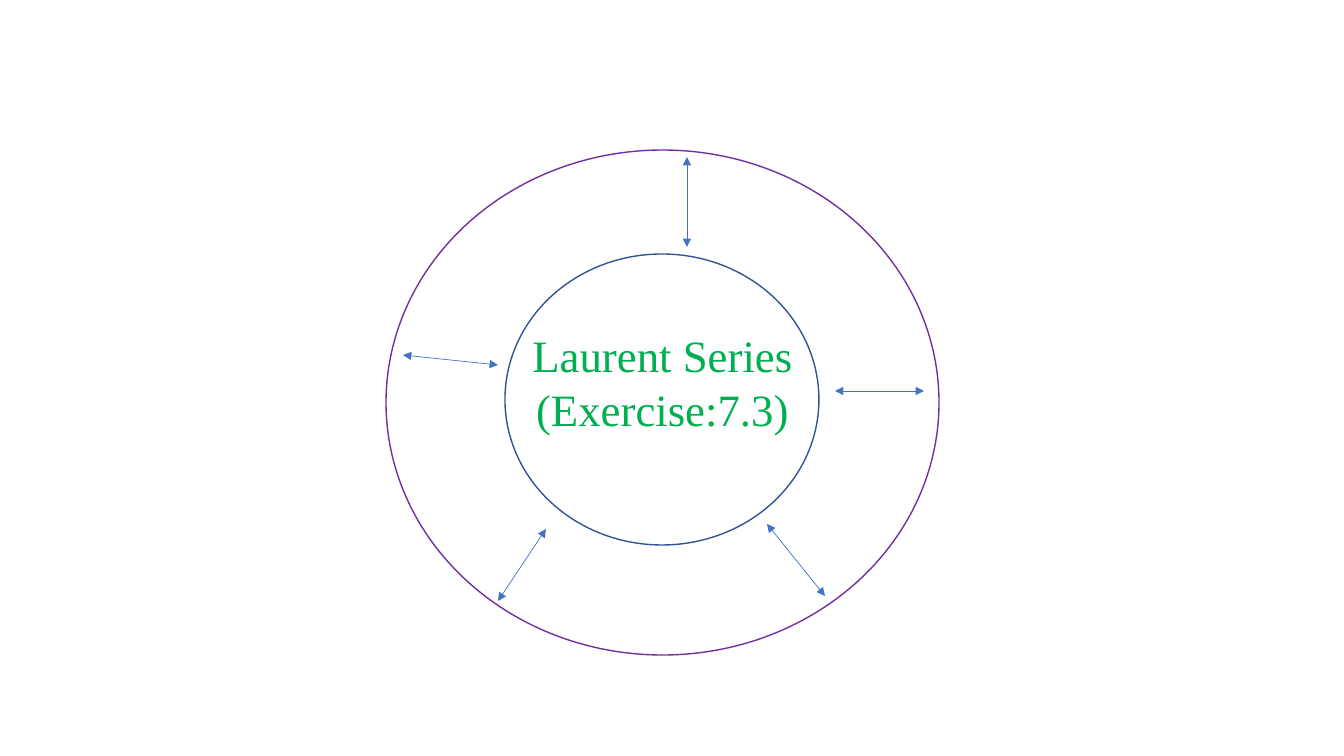
import pptx
import pptx.util
from dataclasses import dataclass
from lxml import etree
from pptx.dml.color import RGBColor
from pptx.enum.shapes import MSO_CONNECTOR, MSO_SHAPE
from pptx.enum.text import MSO_ANCHOR, MSO_AUTO_SIZE, PP_ALIGN
from pptx.oxml.ns import qn


@dataclass(frozen=True)
class Theme:
    font: str = "Times New Roman"
    title_size: int = 32
    title: str = "00B050"
    outer: str = "7030A0"
    inner: str = "325491"
    arrow: str = "4472C4"
    circle_width: float = 1
    arrow_width: float = 0.5


THEME = Theme()
SLIDE_SIZE = (1344, 756)
TITLE = "Laurent Series (Exercise:7.3)"
TITLE_BOX = (415, 323, 495, 119)
CIRCLES = [  # left, top, width, height, colour
    (386, 150, 553, 505, THEME.outer),
    (505, 254, 314, 291, THEME.inner),
]
ARROWS = [  # x and y of each end
    (687, 247, 687, 157),
    (835, 391, 924, 391),
    (825, 596, 767, 524),
    (498, 601, 546, 529),
    (498, 365, 403, 355),
]


def px(*lengths):
    return [pptx.util.Emu(round(n * 914400 / 100.8)) for n in lengths]


def set_line(sp, colour, width):
    sp.line.color.rgb = RGBColor.from_string(colour)
    sp.line.width = pptx.util.Pt(width)


def add_circle(s, left, top, width, height, colour):
    sp = s.shapes.add_shape(MSO_SHAPE.OVAL, *px(left, top, width, height))
    sp.shadow.inherit = False
    sp.fill.background()
    set_line(sp, colour, THEME.circle_width)


def add_double_arrow(s, *ends):
    sp = s.shapes.add_connector(MSO_CONNECTOR.STRAIGHT, *px(*ends))
    set_line(sp, THEME.arrow, THEME.arrow_width)
    ln = sp.line._get_or_add_ln()
    for end in ("a:headEnd", "a:tailEnd"):
        etree.SubElement(ln, qn(end), type="triangle")
    etree.SubElement(sp._element.spPr, qn("a:effectLst"))


def set_title(s):
    sp = s.shapes.title
    sp.left, sp.top, sp.width, sp.height = px(*TITLE_BOX)
    tf = sp.text_frame
    tf.text = TITLE
    tf.word_wrap = True
    tf.auto_size = MSO_AUTO_SIZE.SHAPE_TO_FIT_TEXT
    tf.vertical_anchor = MSO_ANCHOR.TOP
    p = tf.paragraphs[0]
    p.alignment = PP_ALIGN.CENTER
    p.font.name = THEME.font
    p.font.size = pptx.util.Pt(THEME.title_size)
    p.font.color.rgb = RGBColor.from_string(THEME.title)


def main():
    prs = pptx.Presentation()
    prs.slide_width, prs.slide_height = px(*SLIDE_SIZE)
    s = prs.slides.add_slide(prs.slide_layouts.get_by_name("Title Only"))
    set_title(s)
    for circle in CIRCLES:
        add_circle(s, *circle)
    for arrow in ARROWS:
        add_double_arrow(s, *arrow)
    prs.save("out.pptx")


if __name__ == "__main__":
    main()
